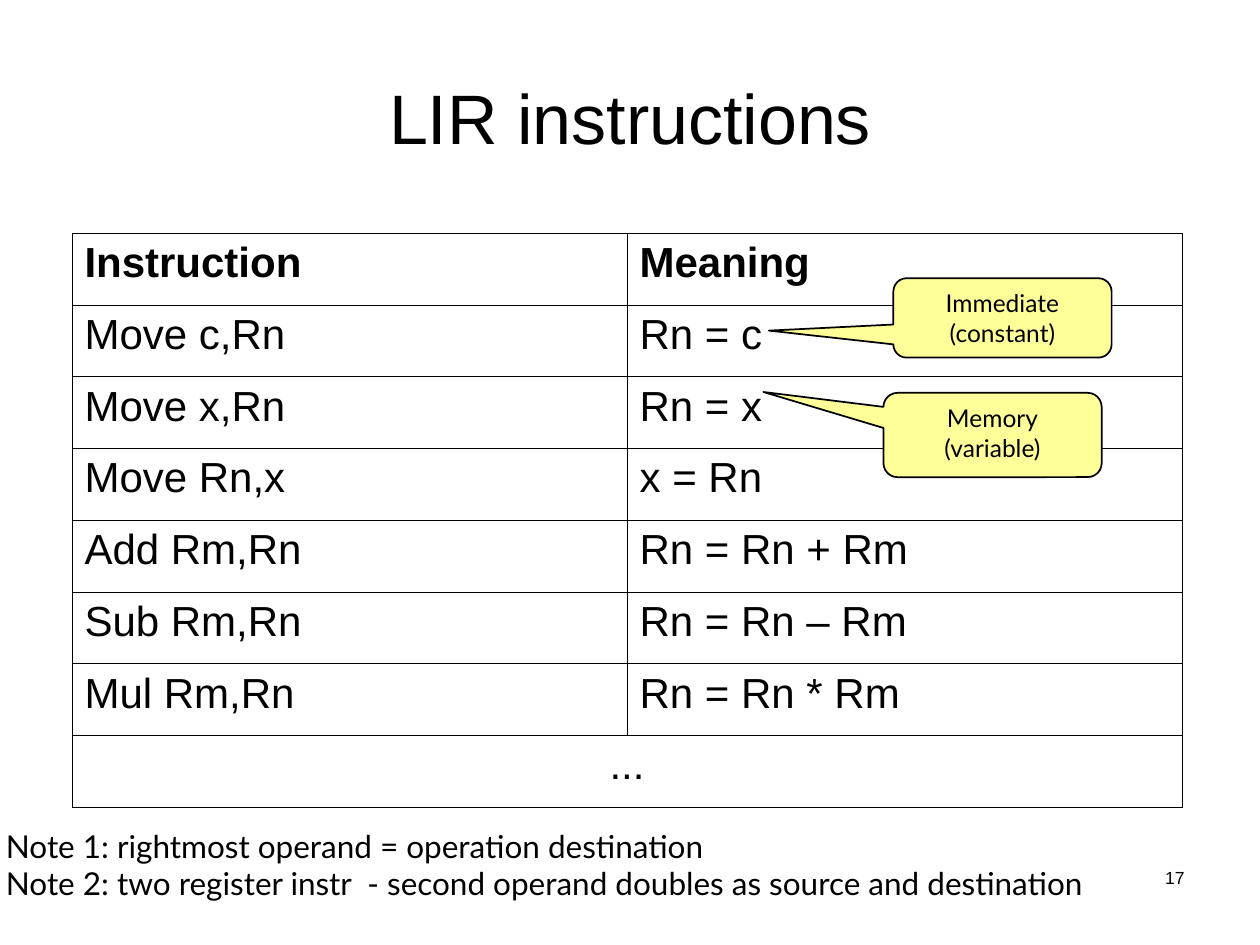
from lxml import etree
from pptx import Presentation
from pptx import util as u
from pptx.dml.color import RGBColor
from pptx.enum import shapes, text
from pptx.oxml import ns

INSTRUCTIONS = [
    ("Instruction", "Meaning"),
    ("Move c,Rn", "Rn = c"),
    ("Move x,Rn", "Rn = x"),
    ("Move Rn,x", "x = Rn"),
    ("Add Rm,Rn", "Rn = Rn + Rm"),
    ("Sub Rm,Rn", "Rn = Rn – Rm"),
    ("Mul Rm,Rn", "Rn = Rn * Rm"),
    ("...", ""),
]
NOTES = ("Note 1: rightmost operand = operation destination\n"
         "Note 2: two register instr  - second operand doubles as source and destination")
# Wording, box in cm, tip of the pointer relative to the box centre
CALLOUTS = [
    ("Immediate\v(constant)", (18.01, 5.61, 4.4, 1.6), (-1.07, 0.16)),
    ("Memory\v(variable)", (17.81, 7.92, 4.4, 1.7), (-1.05, -0.51)),
]


def colour(value):
    return RGBColor.from_string(value)


def lengths(box):
    return [u.Cm(value) for value in box]


def write(frame, words, size, font="Arial", bold=False,
          align=text.PP_ALIGN.LEFT, before=0, anchor=text.MSO_ANCHOR.TOP, wrap=True):
    """Fill a text frame; a line feed starts a paragraph, a vertical tab a line."""
    frame.text = words
    frame.word_wrap = wrap
    frame.vertical_anchor = anchor
    for para in frame.paragraphs:
        para.alignment = align
        para.space_before = u.Pt(before)
        for span in para.runs:
            span.font.name = font
            span.font.size = u.Pt(size)
            span.font.bold = bold
            span.font.color.rgb = colour("000000")


def outline_cell(cell, width=0.45, line="000000"):
    properties = cell._tc.get_or_add_tcPr()
    for index, side in enumerate(("lnL", "lnR", "lnT", "lnB")):
        border = etree.Element(ns.qn(f"a:{side}"), w=str(u.Pt(width)))
        fill = etree.SubElement(border, ns.qn("a:solidFill"))
        etree.SubElement(fill, ns.qn("a:srgbClr"), val=line)
        properties.insert(index, border)


def add_title(page, box, words):
    title = page.shapes.title
    title.left, title.top, title.width, title.height = lengths(box)
    write(title.text_frame, words, 40, align=text.PP_ALIGN.CENTER,
          anchor=text.MSO_ANCHOR.MIDDLE)


def add_instruction_table(page, box, rows):
    table = page.shapes.add_table(len(rows), 2, *lengths(box)).table
    last = len(rows) - 1
    table.cell(last, 0).merge(table.cell(last, 1))
    for r, row in enumerate(rows):
        for c, words in enumerate(row):
            cell = table.cell(r, c)
            cell.fill.background()
            outline_cell(cell)
            if words:
                align = text.PP_ALIGN.CENTER if r == last else text.PP_ALIGN.LEFT
                write(cell.text_frame, words, 24, bold=r == 0, align=align, before=6)


def add_callout(page, box, words, tip):
    callout = page.shapes.add_shape(
        shapes.MSO_SHAPE.ROUNDED_RECTANGULAR_CALLOUT, *lengths(box))
    callout.shadow.inherit = False
    callout.fill.solid()
    callout.fill.fore_color.rgb = colour("FFFF99")
    callout.line.color.rgb = colour("000000")
    callout.line.width = u.Pt(1)
    callout.adjustments[0], callout.adjustments[1] = tip
    write(callout.text_frame, words, 14, "Lato",
          align=text.PP_ALIGN.CENTER, before=8.8)


def add_label(page, box, words, size, **style):
    label = page.shapes.add_textbox(*lengths(box))
    write(label.text_frame, words, size, **style)


def main():
    deck = Presentation()
    deck.slide_width, deck.slide_height = u.Cm(25.4), u.Cm(19.05)
    page = deck.slides.add_slide(deck.slide_layouts[5])

    # Heading and table
    add_title(page, (1.27, 0.76, 22.86, 3.18), "LIR instructions")
    add_instruction_table(page, (1.45, 4.7, 22.38, 11.58), INSTRUCTIONS)

    # Notes and page number
    add_label(page, (-0.13, 16.54, 24.03, 1.78), NOTES, 18, font="Lato", wrap=False)
    add_label(page, (18.21, 17.35, 5.92, 1.27), "17", 10, align=text.PP_ALIGN.RIGHT)

    # Operand callouts over the table
    for words, box, tip in CALLOUTS:
        add_callout(page, box, words, tip)

    deck.save("out.pptx")


if __name__ == "__main__":
    main()
